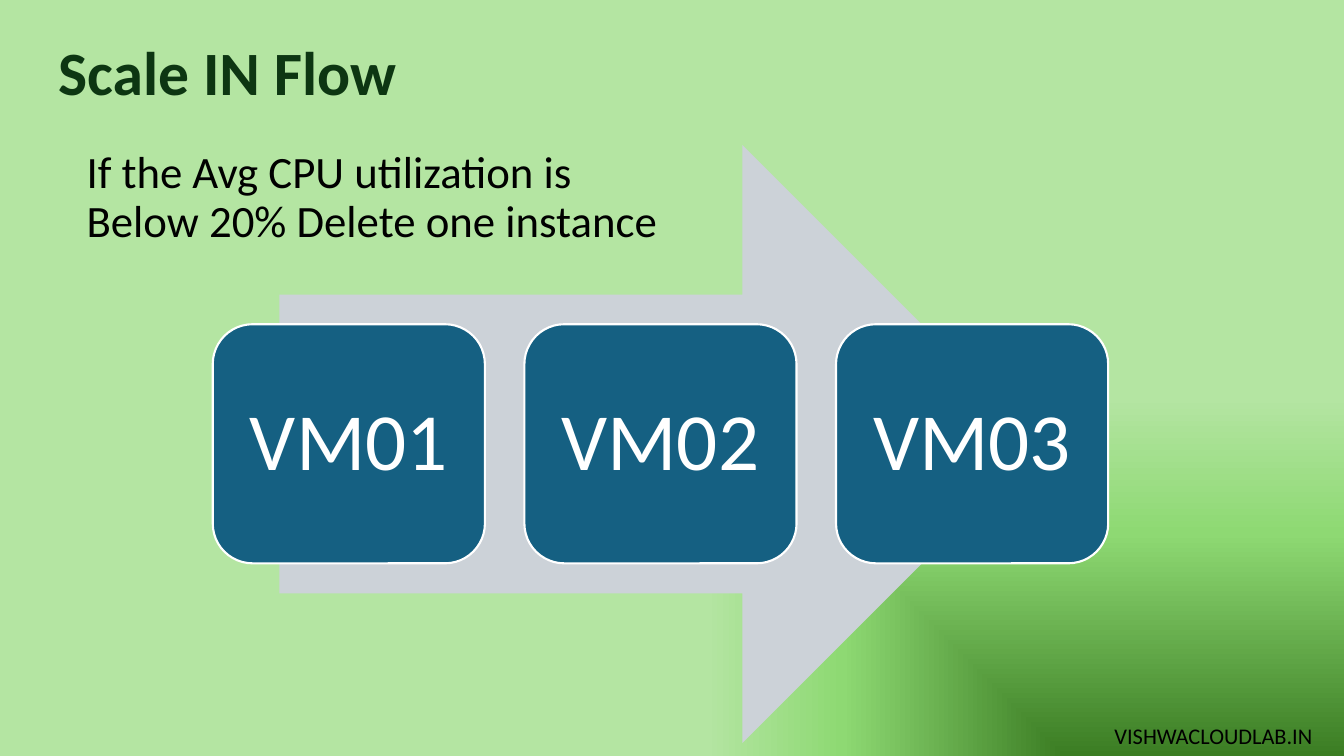
from pptx import Presentation
from pptx.dml.color import RGBColor
from pptx.enum.shapes import MSO_SHAPE as SHAPE
from pptx.enum.text import MSO_ANCHOR as ANCHOR, PP_ALIGN as ALIGN
from pptx.oxml import parse_xml
from pptx.oxml.ns import nsdecls
from pptx.util import Pt

COLORS = {
    "title": "0D3612",
    "text": "000000",
    "arrow": "CCD2D8",
    "vm": "156082",
    "white": "FFFFFF",
}
GRADIENT = [(0, "3B7D23"), (59, "8ED973"), (95, "B4E5A2")]


def rgb(name):
    return RGBColor.from_string(COLORS[name])


def set_background(s):
    """Rectangular gradient that spreads from the bottom right corner."""
    stops = "".join(
        f'<a:gs pos="{pos * 1000}"><a:srgbClr val="{color}"/></a:gs>'
        for pos, color in GRADIENT
    )
    s.element.cSld.insert(0, parse_xml(
        f'<p:bg {nsdecls("p", "a")}><p:bgPr><a:gradFill rotWithShape="1">'
        f'<a:gsLst>{stops}</a:gsLst><a:path path="rect">'
        '<a:fillToRect l="100000" t="100000"/></a:path></a:gradFill>'
        '<a:effectLst/></p:bgPr></p:bg>'
    ))


def write(sp, text, size, color, bold=False, spacing=0.9, **frame):
    tf = sp.text_frame
    for name, value in {"word_wrap": True, **frame}.items():
        setattr(tf, name, value)
    p = tf.paragraphs[0]
    p.line_spacing = spacing
    r = p.add_run()
    r.text = text
    font = {"name": "Calibri", "size": Pt(size), "bold": bold}
    for name, value in font.items():
        setattr(r.font, name, value)
    r.font.color.rgb = rgb(color)
    return p


def add_text(s, box, text, size, color, **fmt):
    write(s.shapes.add_textbox(*map(Pt, box)), text, size, color, **fmt)


def add_block(s, kind, box, fill):
    sp = s.shapes.add_shape(kind, *map(Pt, box))
    sp.shadow.inherit = False
    sp.fill.solid()
    sp.fill.fore_color.rgb = rgb(fill)
    sp.line.fill.background()
    return sp


def add_vm(s, box, label):
    sp = add_block(s, SHAPE.ROUNDED_RECTANGLE, box, "vm")
    sp.line.color.rgb = rgb("white")
    sp.line.width = Pt(1.5)
    sides = ("left", "top", "right", "bottom")
    margins = {f"margin_{side}": Pt(17) for side in sides}
    p = write(sp, label, 58, "white", vertical_anchor=ANCHOR.MIDDLE, **margins)
    p.alignment = ALIGN.CENTER


def main():
    prs = Presentation()
    prs.slide_width, prs.slide_height = Pt(960), Pt(540)
    s = prs.slides.add_slide(prs.slide_layouts[6])
    set_background(s)

    # Footer, title and scaling rule
    add_text(s, (789, 512, 169, 26.6), "VISHWACLOUDLAB.IN", 16, "text",
             spacing=1.0, word_wrap=False)
    add_text(s, (34.5, 20.2, 828, 67), "Scale IN Flow", 44, "title",
             bold=True, vertical_anchor=ANCHOR.MIDDLE)
    add_text(s, (54.7, 103.7, 425.5, 106.5),
             "If the Avg CPU utilization is Below 20% Delete one instance",
             32, "text")

    # Flow arrow with the machines on it
    add_block(s, SHAPE.RIGHT_ARROW, (199.5, 103.7, 544.3, 427), "arrow")
    for i, label in enumerate(("VM01", "VM02", "VM03")):
        add_vm(s, (152 + i * 222.6, 231.6, 194.4, 170.8), label)

    prs.save("out.pptx")


if __name__ == "__main__":
    main()
